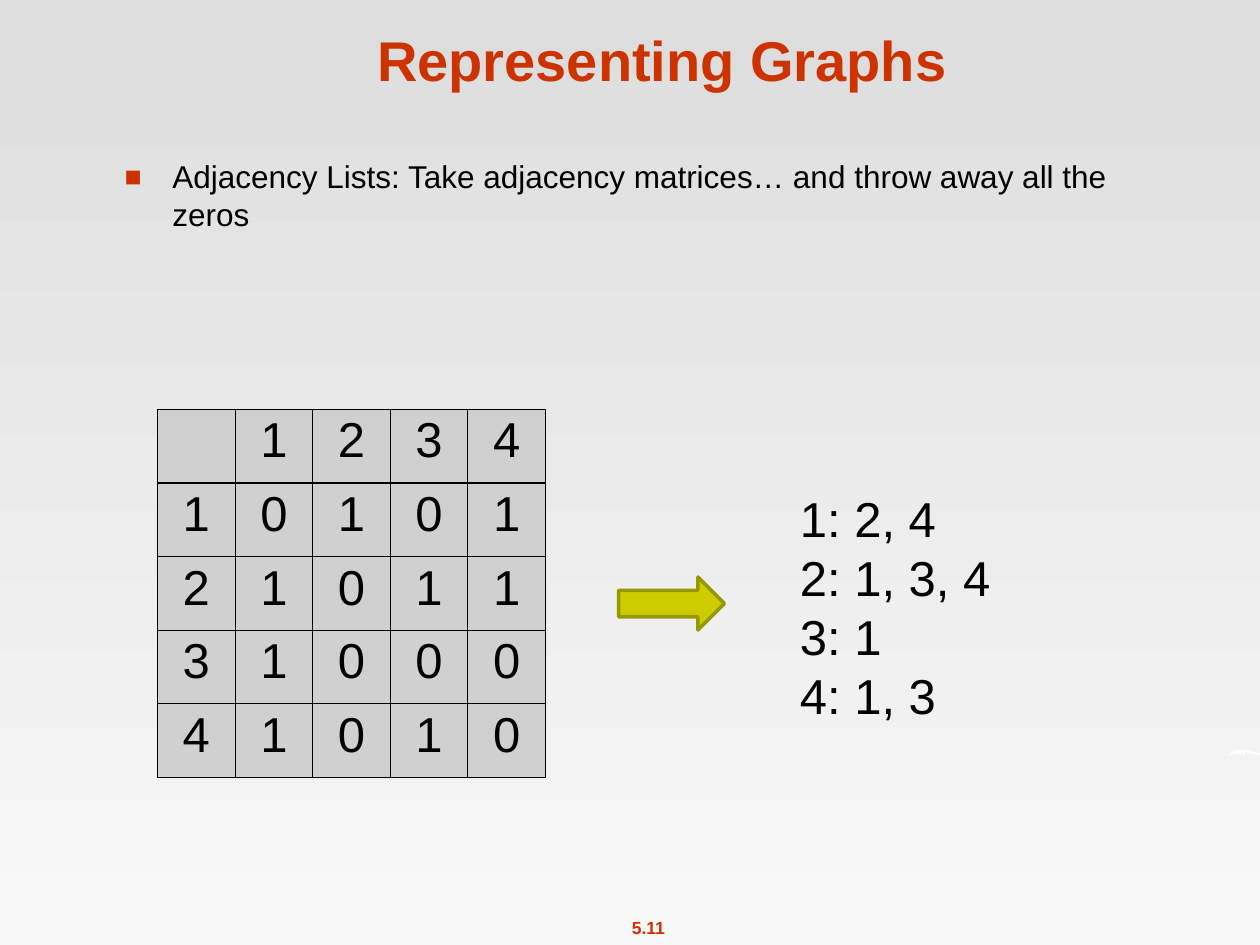
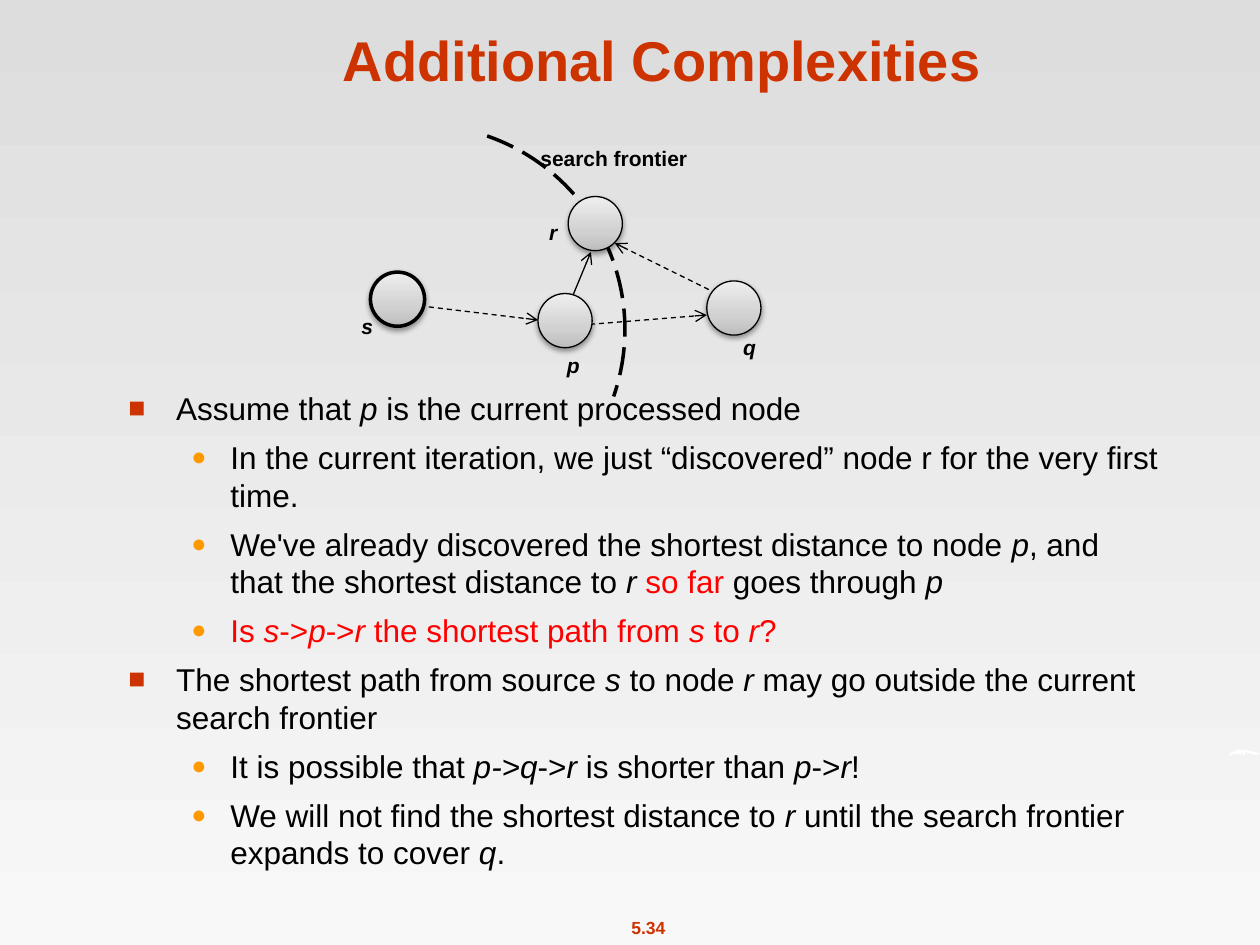
from copy import deepcopy

from lxml import etree
from pptx import Presentation
from pptx.dml.color import RGBColor
from pptx.enum.dml import MSO_LINE
from pptx.enum.shapes import MSO_CONNECTOR, MSO_SHAPE
from pptx.enum.text import MSO_ANCHOR, MSO_AUTO_SIZE, PP_ALIGN
from pptx.oxml.ns import qn
from pptx.util import Inches, Pt

BLACK = RGBColor(0x00, 0x00, 0x00)
WHITE = RGBColor(0xFF, 0xFF, 0xFF)
RED = RGBColor(0xFF, 0x00, 0x00)
RUST = RGBColor(0xCC, 0x33, 0x00)
ORANGE = RGBColor(0xFF, 0x99, 0x00)
OLIVE = RGBColor(0xCC, 0xCC, 0x00)
DARK_OLIVE = RGBColor(0x97, 0x97, 0x00)
CELL_GRAY = RGBColor(0xD0, 0xD0, 0xD0)
BACKGROUND_STOPS = [(0, RGBColor(0xDD, 0xDD, 0xDD)), (1, RGBColor(0xF8, 0xF8, 0xF8))]
NODE_STOPS = [(0, RGBColor(0xBD, 0xBD, 0xBD)), (0.35, RGBColor(0xD1, 0xD1, 0xD1)),
              (1, RGBColor(0xEE, 0xEE, 0xEE))]

FONT = "Arial"
CENTER = PP_ALIGN.CENTER
MIDDLE, BOTTOM = MSO_ANCHOR.MIDDLE, MSO_ANCHOR.BOTTOM
NO_AUTOFIT = MSO_AUTO_SIZE.NONE
STRAIGHT = MSO_CONNECTOR.STRAIGHT
ARC, OVAL, RIGHT_ARROW = MSO_SHAPE.ARC, MSO_SHAPE.OVAL, MSO_SHAPE.RIGHT_ARROW
DASH, LONG_DASH = MSO_LINE.DASH, MSO_LINE.LONG_DASH
TITLE_ONLY = 5

# Bullet character, colour, size in percent, text indent and hanging indent by level
BULLETS = [("■", RUST, 90, 0.38, 0.38), ("●", ORANGE, 80, 0.81, 0.31)]

SWOOSH = [(9.75, 6.01), (9.76, 5.98), (9.78, 5.97), (9.8, 5.96), (9.83, 5.95), (9.87, 5.95),
          (9.92, 5.96), (9.96, 5.97), (10, 5.98), (9.99, 5.99), (9.96, 5.99), (9.92, 5.98),
          (9.88, 5.97), (9.88, 6), (9.85, 5.97), (9.85, 6), (9.82, 5.97), (9.83, 6),
          (9.8, 5.98), (9.77, 5.99)]

ADJACENCY = {1: [0, 1, 0, 1], 2: [1, 0, 1, 1], 3: [1, 0, 0, 0], 4: [1, 0, 1, 0]}
LISTS = ["1: 2, 4", "2: 1, 3, 4", "3: 1", "4: 1, 3"]

# Name, node offset, label offset, line width
NODES = [("s", (0.19, 1.16), (0.02, 1.44), 2), ("r", (1.76, 0.56), (1.51, 0.69), 0.75),
         ("p", (1.52, 1.33), (1.65, 1.75), 0.75), ("q", (2.86, 1.23), (3.05, 1.61), 0.75)]
EDGES = [((0.44, 1.41), (1.52, 1.54), DASH), ((1.86, 1.58), (2.86, 1.5), DASH),
         ((2.94, 1.33), (2.13, 0.93), DASH), ((1.77, 1.41), (1.94, 1), None)]

# In bullet text, * switches italics and | switches red
LIST_BULLETS = [
    (0, "Adjacency Lists: Take adjacency matrices… and throw away all the zeros")]
PATH_BULLETS = [
    (0, "Assume that *p* is the current processed node"),
    (1, "In the current iteration, we just “discovered” node r for the very first time."),
    (1, "We've already discovered the shortest distance to node *p*, and that the shortest "
        "distance to *r *|so far| goes through *p*"),
    (1, "|Is *s*->*p*->*r* the shortest path from *s* to *r*?|"),
    (0, "The shortest path from source *s* to node *r* may go outside the current "
        "search frontier"),
    (1, "It is possible that *p->q*->*r *is shorter than* p*->*r*!"),
    (1, "We will not find the shortest distance to *r* until the search frontier "
        "expands to cover *q*."),
]


def box(left, top, width, height):
    return [Inches(value) for value in (left, top, width, height)]


def set_values(target, values):
    for name, value in values.items():
        setattr(target, name, value)


def add_run(paragraph, text, size, color=BLACK, **styles):
    run = paragraph.add_run()
    run.text = text
    set_values(run.font, {"name": FONT, "size": Pt(size), **styles})
    run.font.color.rgb = color


def add_xml(parent, tag, **attributes):
    return etree.SubElement(parent, qn(tag), attributes)


def set_gradient(fill, stops, angle):
    fill.gradient()
    fill.gradient_angle = angle
    stop_list = fill.gradient_stops
    if len(stops) > len(stop_list):
        first = fill._xPr.find(qn("a:gradFill")).find(qn("a:gsLst"))[0]
        for _ in range(len(stops) - len(stop_list)):
            first.addnext(deepcopy(first))
    for stop, (position, color) in zip(fill.gradient_stops, stops):
        stop.position = position
        stop.color.rgb = color


def set_line(line, color, width, dash=None):
    line.color.rgb = color
    line.width = Pt(width)
    if dash is not None:
        line.dash_style = dash


def add_label(slide, bounds, lines, size, color=BLACK, align=None, **styles):
    """Add a text box that does not wrap, with one paragraph for each line."""
    frame = slide.shapes.add_textbox(*box(*bounds)).text_frame
    frame.word_wrap = False
    for index, text in enumerate(lines):
        paragraph = frame.paragraphs[0] if index == 0 else frame.add_paragraph()
        paragraph.alignment = align
        add_run(paragraph, text, size, color, **styles)


def add_bullets(slide, bounds, bullets):
    frame = slide.shapes.add_textbox(*box(*bounds)).text_frame
    frame.word_wrap = True
    for index, (level, text) in enumerate(bullets):
        paragraph = frame.paragraphs[0] if index == 0 else frame.add_paragraph()
        paragraph.level = level
        paragraph.space_before = Pt(6.3)
        character, color, percent, indent, hanging = BULLETS[level]
        properties = paragraph._p.get_or_add_pPr()
        properties.set("marL", str(Inches(indent)))
        properties.set("indent", str(-Inches(hanging)))
        add_xml(add_xml(properties, "a:buClr"), "a:srgbClr", val=str(color))
        add_xml(properties, "a:buSzPct", val=str(percent * 1000))
        add_xml(properties, "a:buFont", typeface=FONT)
        add_xml(properties, "a:buChar", char=character)
        for red, colored in enumerate(text.split("|")):
            for italic, part in enumerate(colored.split("*")):
                if part:
                    add_run(paragraph, part, 18, RED if red % 2 else BLACK,
                            italic=bool(italic % 2))


def add_swoosh(slide):
    points = [(Inches(x), Inches(y)) for x, y in SWOOSH]
    builder = slide.shapes.build_freeform(*points[0])
    builder.add_line_segments(points[1:], close=True)
    swoosh = builder.convert_to_shape()
    swoosh.shadow.inherit = False
    swoosh.fill.solid()
    swoosh.fill.fore_color.rgb = WHITE
    swoosh.line.fill.background()


def add_base_slide(presentation, title, number):
    """Add a slide with the shared title, page number and white swoosh."""
    slide = presentation.slides.add_slide(presentation.slide_layouts[TITLE_ONLY])
    add_label(slide, (4.9, 7.23, 0.49, 0.27), [number], 10, RUST, CENTER, bold=True)
    add_swoosh(slide)

    heading = slide.shapes.title
    bounds = box(0.84, 0.12, 8.83, 0.67)
    set_values(heading, dict(zip(("left", "top", "width", "height"), bounds)))
    set_values(heading.text_frame, {"auto_size": NO_AUTOFIT, "vertical_anchor": BOTTOM})
    paragraph = heading.text_frame.paragraphs[0]
    paragraph.alignment = CENTER
    add_run(paragraph, title, 32, RUST, bold=True)
    return slide


def add_matrix(slide, left, top, width, height):
    rows = [["", *ADJACENCY]] + [[node, *values] for node, values in ADJACENCY.items()]
    size = len(rows)
    table = slide.shapes.add_table(size, size, *box(left, top, width, height)).table
    set_values(table, {"first_row": False, "horz_banding": False})
    for row_index, row in enumerate(rows):
        for column_index, value in enumerate(row):
            cell = table.cell(row_index, column_index)
            cell.vertical_anchor = MIDDLE
            paragraph = cell.text_frame.paragraphs[0]
            set_values(paragraph, {"alignment": CENTER, "line_spacing": 0.71,
                                   "space_before": Pt(8)})
            if value != "":
                add_run(paragraph, str(value), 28)
            properties = cell._tc.get_or_add_tcPr()
            for side in ("a:lnL", "a:lnR", "a:lnT", "a:lnB"):
                border = add_xml(properties, side, w=str(Pt(0.75)))
                add_xml(add_xml(border, "a:solidFill"), "a:srgbClr", val=str(BLACK))
            cell.fill.solid()
            cell.fill.fore_color.rgb = CELL_GRAY


def add_block_arrow(slide, bounds):
    arrow = slide.shapes.add_shape(RIGHT_ARROW, *box(*bounds))
    arrow.shadow.inherit = False
    arrow.fill.solid()
    arrow.fill.fore_color.rgb = OLIVE
    set_line(arrow.line, DARK_OLIVE, 2)


def add_edge(slide, start, end, dash):
    edge = slide.shapes.add_connector(STRAIGHT, *box(*start, *end))
    set_line(edge.line, BLACK, 0.75, dash)
    add_xml(edge.line._get_or_add_ln(), "a:tailEnd", type="arrow")
    add_xml(edge._element.spPr, "a:effectLst")


def add_node(slide, left, top, line_width):
    node = slide.shapes.add_shape(OVAL, *box(left, top, 0.43, 0.43))
    set_gradient(node.fill, NODE_STOPS, 90)
    set_line(node.line, BLACK, line_width)
    node.shadow.inherit = False
    effects = node._element.spPr.find(qn("a:effectLst"))
    shadow = add_xml(effects, "a:outerShdw", blurRad=str(Pt(3.1)), dist=str(Pt(1.6)),
                     dir="5400000", rotWithShape="0")
    add_xml(add_xml(shadow, "a:srgbClr", val=str(BLACK)), "a:alpha", val="38000")


def add_frontier(slide, left, top):
    frontier = slide.shapes.add_shape(ARC, *box(left, top, 3.25, 3.25))
    frontier.rotation = 19.1
    frontier.shadow.inherit = False
    frontier.fill.background()
    set_line(frontier.line, BLACK, 2, LONG_DASH)


def add_search_diagram(slide, left, top):
    def place(offset):
        return left + offset[0], top + offset[1]

    add_frontier(slide, *place((-1.04, -0.01)))
    for start, end, dash in EDGES:
        add_edge(slide, place(start), place(end), dash)
    for name, offset, label_offset, line_width in NODES:
        add_node(slide, *place(offset), line_width)
        add_label(slide, (*place(label_offset), 0.3, 0.3), [name], 12, bold=True, italic=True)
    add_label(slide, (*place((1.44, 0.11)), 1.38, 0.3), ["search frontier"], 12, bold=True)


def add_graphs_slide(presentation):
    slide = add_base_slide(presentation, "Representing Graphs", "5.11")
    add_bullets(slide, (0.89, 1.2, 8.38, 0.8), LIST_BULLETS)
    add_matrix(slide, 1.25, 3.25, 3.08, 2.92)
    add_label(slide, (6.25, 3.83, 1.75, 1.99), LISTS, 28)
    add_block_arrow(slide, (4.91, 4.58, 0.84, 0.42))


def add_complexities_slide(presentation):
    slide = add_base_slide(presentation, "Additional Complexities", "5.34")
    add_bullets(slide, (0.92, 3.04, 8.38, 3.95), PATH_BULLETS)
    add_search_diagram(slide, 2.75, 1)


def main():
    presentation = Presentation()
    presentation.slide_width, presentation.slide_height = Inches(10), Inches(7.5)
    set_gradient(presentation.slide_master.background.fill, BACKGROUND_STOPS, 270)
    add_graphs_slide(presentation)
    add_complexities_slide(presentation)
    presentation.save("out.pptx")


if __name__ == "__main__":
    main()
